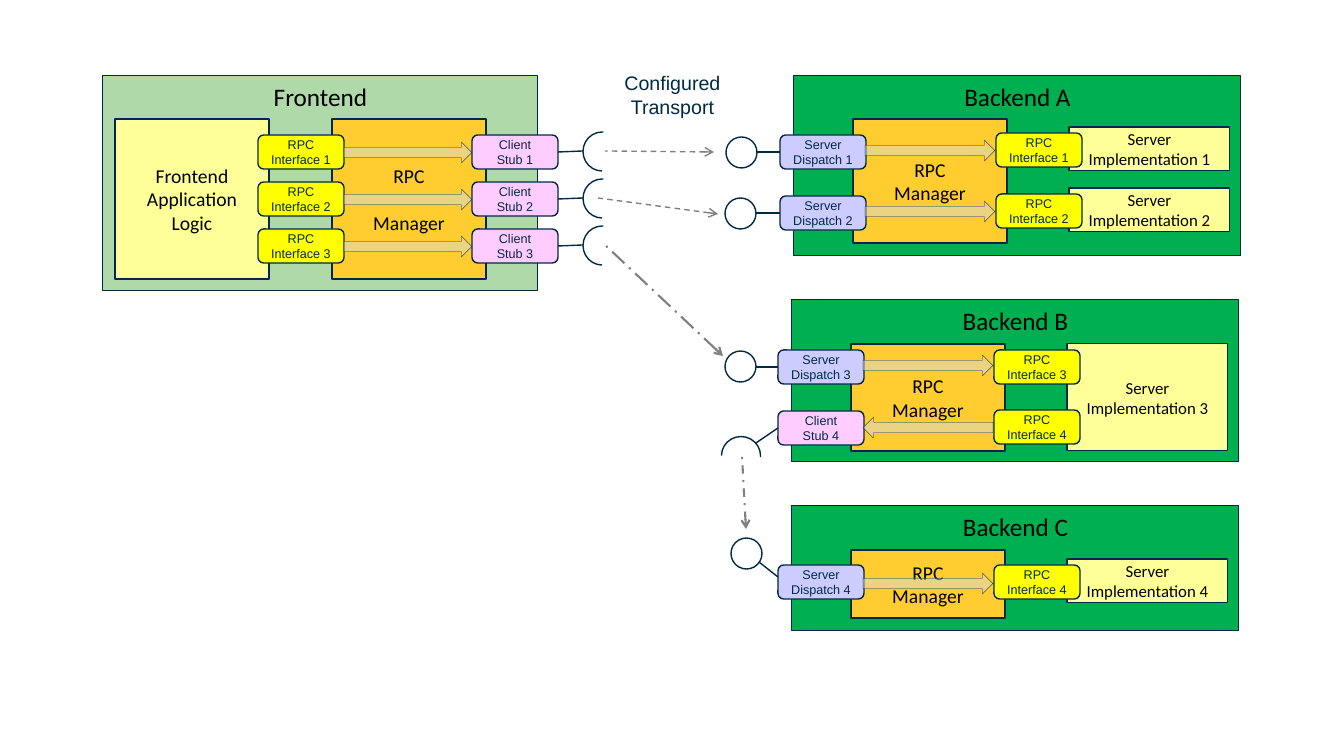
from pptx import Presentation, util as u
from pptx.dml.color import RGBColor
from pptx.enum import dml, shapes, text
from pptx.oxml.ns import qn
from lxml import etree

PX = 914400 / 100.8
NAVY, GREY, BLACK = "002A44", "808080", "000000"
PRESET, DASH = shapes.MSO_SHAPE, dml.MSO_LINE

# Content: formats per part (fill, line width, text size, font, text colour)
STYLES = {
    "frontend": ("AFD9A9", 0.75, 18, "Calibri", BLACK),
    "backend": ("00B050", 0.75, 18, "Calibri", BLACK),
    "logic": ("FFFF99", 1, 14, "Calibri", BLACK),
    "manager": ("FFCD2F", 1, 14, "Calibri", BLACK),
    "server": ("FFFF99", 0.75, 12, "Calibri", BLACK),
    "interface": ("FFFF00", 1, 9, "Arial", NAVY),
    "stub": ("FFCCFF", 1, 9, "Arial", NAVY),
    "dispatch": ("CCCCFF", 1, 9, "Arial", NAVY),
}
CHIP = (86, 34)
FIRST_LINE = {"interface": "RPC", "stub": "Client", "dispatch": "Server"}

# Frontend: three equal rows
FRONT_TOP, FRONT_STEP, FRONT_ROWS = 135, 47, (1, 2, 3)

# Backends: name, left, top, height, manager (top, height),
# servers (label, top, height), rows (kind, label, top, interface, top, call top)
BACKENDS = [
    ("Backend A", 794, 76, 180, (119, 124),
     [("Implementation 1", 127, 44), ("Implementation 2", 188, 44)],
     [("dispatch", "Dispatch 1", 135, "Interface 1", 133, 140),
      ("dispatch", "Dispatch 2", 196, "Interface 2", 194, 201)]),
    ("Backend B", 792, 300, 162, (344, 107),
     [("Implementation 3", 344, 107)],
     [("dispatch", "Dispatch 3", 350, "Interface 3", 350, 355),
      ("stub", "Stub 4", 411, "Interface 4", 410, 417)]),
    ("Backend C", 792, 506, 125, (550, 68),
     [("Implementation 4", 559, 44)],
     [("dispatch", "Dispatch 4", 565, "Interface 4", 565, 573)]),
]
# Circles facing the transport: left, top, link start, link end or chip
CIRCLES = [
    (726, 137, (757, 152), "Dispatch 1"),
    (725, 198, (756, 213), "Dispatch 2"),
    (725, 351, (756, 367), "Dispatch 3"),
    (731, 538, (759, 562), (778, 577)),
]
# Transports: arrow tip, other end, width, dash
TRANSPORTS = [
    ((714, 152), (605, 151), 1, DASH.DASH),
    ((718, 214), (598, 198), 1, DASH.DASH),
    ((723, 356), (605, 245), 1.5, DASH.LONG_DASH_DOT),
    ((746, 529), (742, 456), 1.5, DASH.DASH_DOT),
]

deck = Presentation()
deck.slide_width, deck.slide_height = round(1344 * PX), round(756 * PX)
slide = deck.slides.add_slide(deck.slide_layouts[6])


def emu(*lengths):
    return [round(n * PX) for n in lengths]


def color(hex_value):
    return RGBColor.from_string(hex_value)


def outline(line, width, hex_value=NAVY):
    line.color.rgb = color(hex_value)
    line.width = u.Pt(width)


def write(frame, lines, size, font, hex_value, gap=0):
    frame.word_wrap = True
    for i, words in enumerate(lines):
        para = frame.paragraphs[0] if i == 0 else frame.add_paragraph()
        para.alignment = text.PP_ALIGN.CENTER
        if i and gap:
            para.space_before = u.Pt(gap)
        run = para.add_run()
        run.text = words
        for key, value in {"size": u.Pt(size), "name": font}.items():
            setattr(run.font, key, value)
        run.font.color.rgb = color(hex_value)


def draw(preset, box, fill=None, width=1, rotation=0):
    part = slide.shapes.add_shape(preset, *emu(*box))
    part.shadow.inherit = False
    part.rotation = rotation
    if fill:
        part.fill.solid()
        part.fill.fore_color.rgb = color(fill)
    else:
        part.fill.background()
    outline(part.line, width)
    return part


def block(style, box, lines, preset=PRESET.RECTANGLE, gap=0):
    fill, width, *font = STYLES[style]
    part = draw(preset, box, fill, width)
    is_panel = style in ("frontend", "backend")
    part.text_frame.vertical_anchor = text.MSO_ANCHOR.TOP if is_panel else text.MSO_ANCHOR.MIDDLE
    write(part.text_frame, lines, *font, gap=gap)
    return part


def chip(kind, label, x, y):
    return block(kind, (x, y, *CHIP), [FIRST_LINE[kind], label], PRESET.ROUNDED_RECTANGLE)


def call(x, y, width, rotation=0):
    arrow = draw(PRESET.RIGHT_ARROW, (x, y, width, 21), "D9D9D9", 0.25, rotation)
    rgb = arrow.fill._xPr.find(qn("a:solidFill"))[0]
    etree.SubElement(rgb, qn("a:alpha"), val="50000")


def socket(x, y, rotation):
    arc = draw(PRESET.ARC, (x, y, 38, 39), rotation=rotation)
    arc.adjustments[0], arc.adjustments[1] = 162, 56.57


def link(start, end, width=1, hex_value=NAVY):
    line = slide.shapes.add_connector(shapes.MSO_CONNECTOR.STRAIGHT, *emu(*start, *end))
    outline(line.line, width, hex_value)
    etree.SubElement(line._element.spPr, qn("a:effectLst"))
    return line


# Frontend
block("frontend", (103, 76, 435, 215), ["Frontend"])
block("logic", (115, 119, 154, 160), ["Frontend", "Application", "Logic"])
block("manager", (332, 119, 154, 160), ["RPC", "Manager"], gap=17)
for row, number in enumerate(FRONT_ROWS):
    top = FRONT_TOP + row * FRONT_STEP
    chip("interface", f"Interface {number}", 258, top)
    stub = chip("stub", f"Stub {number}", 472, top)
    call(344, top + 7, 128)
    socket(583, top - 3, 180)
    link((583, top + 16), (558, top + 17)).end_connect(stub, 3)

# Backends, laid out from each panel's left edge
ports = {}
for name, left, top, height, manager, servers, rows in BACKENDS:
    block("backend", (left, top, 447, height), [name])
    for label, y, h in servers:
        block("server", (left + 275, y, 161, h), ["Server", label])
    block("manager", (left + 59, manager[0], 154, manager[1]), ["RPC", "Manager"])
    for kind, label, y, interface, interface_y, call_y in rows:
        ports[label] = chip(kind, label, left - 14, y)
        chip("interface", interface, left + 202, interface_y)
        call(left + 71, call_y, 130, 180 if kind == "stub" else 0)

# Circles and the socket of Backend B
for x, y, start, target in CIRCLES:
    draw(PRESET.OVAL, (x, y, 31, 31))
    if target in ports:
        link(start, start).end_connect(ports[target], 1)
    else:
        link(start, target)
socket(722, 436, 270)
link((756, 443), (778, 428)).end_connect(ports["Stub 4"], 1)

# Transports
for tip, origin, width, dash in TRANSPORTS:
    transport = link(tip, origin, width, GREY)
    transport.line.dash_style = dash
    etree.SubElement(transport.line._get_or_add_ln(), qn("a:headEnd"), type="arrow")
caption = slide.shapes.add_textbox(*emu(594, 66, 157, 57))
write(caption.text_frame, ["Configured Transport"], 14, "Arial", NAVY)

deck.save("out.pptx")
